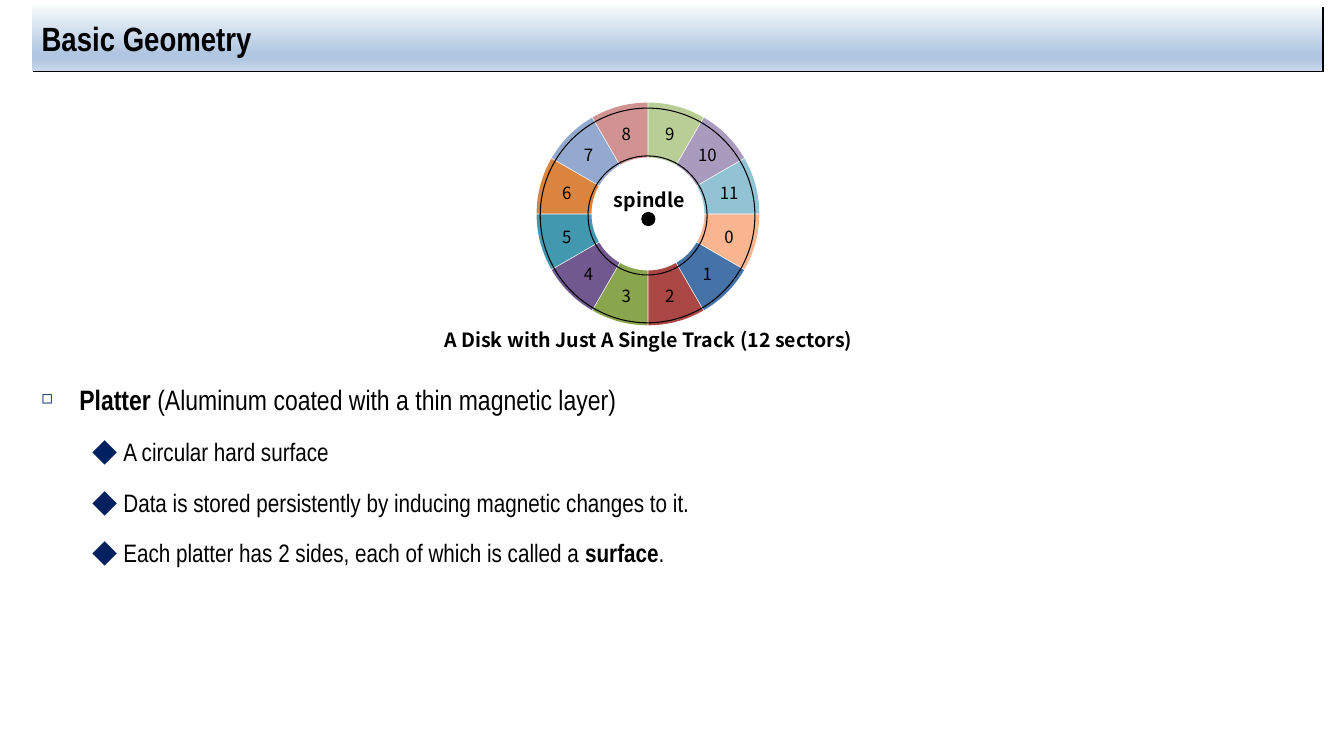
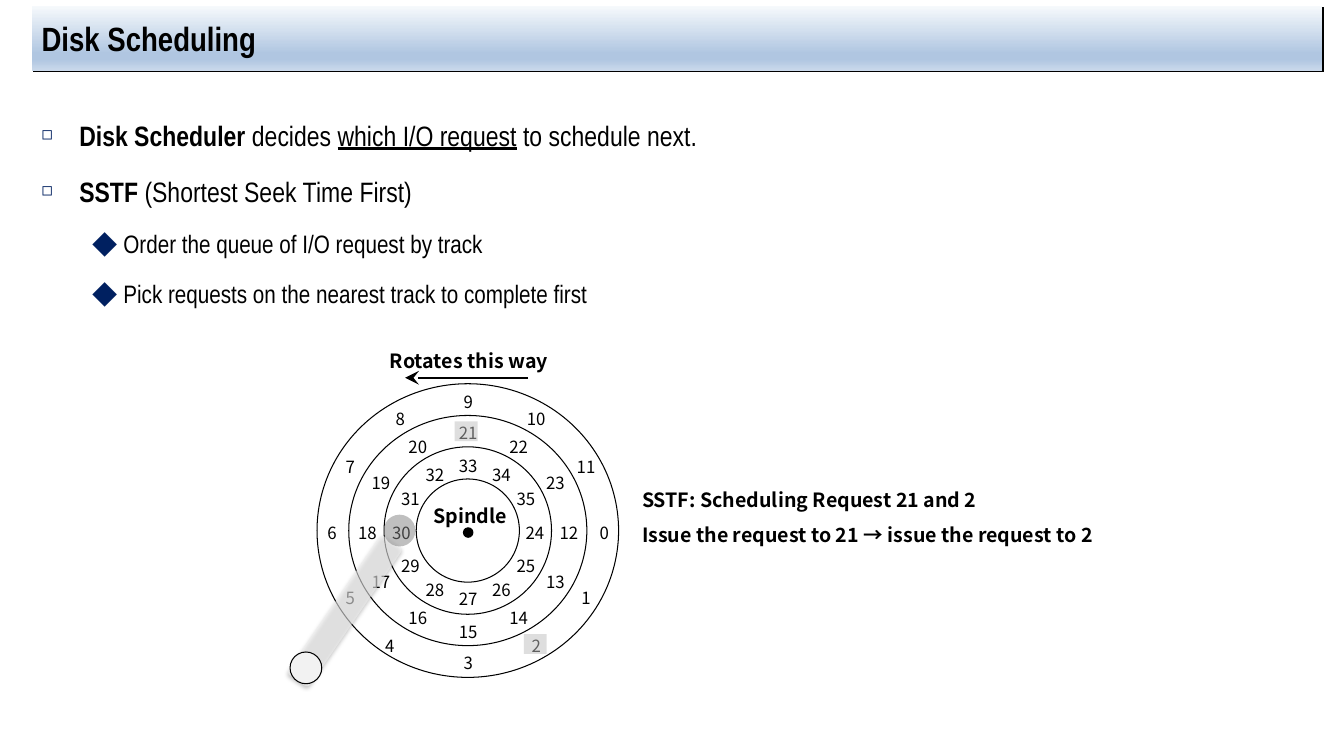
from math import cos, radians, sin

from lxml import etree
from pptx import Presentation
from pptx.chart.data import CategoryChartData
from pptx.dml.color import RGBColor
from pptx.enum.chart import XL_CHART_TYPE
from pptx.enum.shapes import MSO_CONNECTOR, MSO_SHAPE
from pptx.enum.text import MSO_ANCHOR, PP_ALIGN
from pptx.oxml.ns import qn
from pptx.util import Cm, Pt

OVAL = MSO_SHAPE.OVAL
RECTANGLE = MSO_SHAPE.RECTANGLE
ROUNDED = MSO_SHAPE.ROUNDED_RECTANGLE
STRAIGHT = MSO_CONNECTOR.STRAIGHT
DOUGHNUT = XL_CHART_TYPE.DOUGHNUT
LEFT, CENTER = PP_ALIGN.LEFT, PP_ALIGN.CENTER
TOP, MIDDLE = MSO_ANCHOR.TOP, MSO_ANCHOR.MIDDLE

HEADING_FONT = "Arial Narrow"
LABEL_FONT = "Noto Sans CJK KR"
BLACK, NAVY, PALE, SILVER, GRAY = "000000", "002060", "F2F2F2", "BFBFBF", "808080"
BAND_STOPS = [(0, "F6F9FC"), (74, "B0C6E1"), (83, "B0C6E1"), (100, "CAD9EB")]
SECTOR_COLORS = [
    "4572A7", "AA4643", "89A54E", "71588F", "4198AF", "DB843D",
    "93A9CF", "D19392", "B9CD96", "A99BBD", "91C3D5", "F9B590",
]
BULLETS = {
    0: {"char": "◻", "font": HEADING_FONT, "margin": 0.95, "indent": -0.95,
        "percent": 65, "size": 20},
    1: {"char": "◆", "font": LABEL_FONT, "margin": 2.06, "indent": -0.79,
        "percent": 100, "size": 18},
}
LINE_WIDTH = 0.75
SECTORS = 12


def rgb(color):
    return RGBColor.from_string(color)


def add_child(parent, tag, **attributes):
    child = etree.SubElement(parent, qn(tag))
    for name, value in attributes.items():
        child.set(name, str(value))
    return child


def set_alpha(color_element, percent):
    add_child(color_element, "a:alpha", val=percent * 1000)


def set_font(font, size, name, bold=False, underline=False):
    font.size = Pt(size)
    font.name = name
    font.bold = bold
    font.underline = underline
    font.color.rgb = rgb(BLACK)


def write_text(frame, paragraphs, size=14, font=LABEL_FONT, bold=False, align=LEFT,
               anchor=TOP, spacing=None, insets=(0.25, 0.13)):
    frame.word_wrap = True
    frame.vertical_anchor = anchor
    frame.margin_left = frame.margin_right = Cm(insets[0])
    frame.margin_top = frame.margin_bottom = Cm(insets[1])
    for index, text in enumerate(paragraphs):
        paragraph = frame.paragraphs[0] if index == 0 else frame.add_paragraph()
        paragraph.alignment = align
        if spacing:
            paragraph.line_spacing = spacing
        run = paragraph.add_run()
        run.text = text
        set_font(run.font, size, font, bold)
        add_child(run.font._element, "a:ea", typeface=font)


def add_label(slide, left, top, width, height, *paragraphs, **text_format):
    box = slide.shapes.add_textbox(Cm(left), Cm(top), Cm(width), Cm(height))
    write_text(box.text_frame, paragraphs, **text_format)


def add_shape(slide, kind, left, top, width, height, fill=None, alpha=None, line=None):
    shape = slide.shapes.add_shape(kind, Cm(left), Cm(top), Cm(width), Cm(height))
    shape.shadow.inherit = False
    if fill:
        shape.fill.solid()
        shape.fill.fore_color.rgb = rgb(fill)
        if alpha:
            set_alpha(shape._element.spPr.find(qn("a:solidFill"))[0], alpha)
    else:
        shape.fill.background()
    if line:
        shape.line.color.rgb = rgb(line)
        shape.line.width = Pt(LINE_WIDTH)
    else:
        shape.line.fill.background()
    return shape


def add_circle(slide, center, width, height=None, **style):
    height = height or width
    left, top = center[0] - width / 2, center[1] - height / 2
    return add_shape(slide, OVAL, left, top, width, height, **style)


def add_shadow(shape, alpha, blur, distance, angle):
    effects = shape._element.spPr.find(qn("a:effectLst"))
    shadow = add_child(effects, "a:outerShdw", blurRad=Pt(blur), dist=Pt(distance),
                       dir=angle * 60000, algn="ctr", rotWithShape=0)
    set_alpha(add_child(shadow, "a:srgbClr", val=BLACK), alpha)


def add_title(slide, text):
    band = add_shape(slide, RECTANGLE, 0.8, 0.15, 32.53, 1.63)
    properties = band._element.spPr
    gradient = etree.Element(qn("a:gradFill"), rotWithShape="1")
    stops = add_child(gradient, "a:gsLst")
    for position, color in BAND_STOPS:
        stop = add_child(stops, "a:gs", pos=position * 1000)
        add_child(stop, "a:srgbClr", val=color)
    add_child(gradient, "a:lin", ang=90 * 60000, scaled=0)
    properties.replace(properties.find(qn("a:noFill")), gradient)
    add_shadow(band, 100, 0, 1.4, 45)
    write_text(band.text_frame, [text], size=24, font=HEADING_FONT, bold=True, anchor=MIDDLE)


def add_bullets(slide, top, height, items):
    box = slide.shapes.add_textbox(Cm(0.8), Cm(top), Cm(32.53), Cm(height))
    frame = box.text_frame
    frame.word_wrap = True
    for index, (level, runs) in enumerate(items):
        paragraph = frame.paragraphs[0] if index == 0 else frame.add_paragraph()
        bullet = BULLETS[level]
        properties = paragraph._element.get_or_add_pPr()
        properties.set("marL", str(Cm(bullet["margin"])))
        properties.set("indent", str(Cm(bullet["indent"])))
        add_child(add_child(properties, "a:buClr"), "a:srgbClr", val=NAVY)
        add_child(properties, "a:buSzPct", val=bullet["percent"] * 1000)
        add_child(properties, "a:buFont", typeface=bullet["font"])
        add_child(properties, "a:buChar", char=bullet["char"])
        paragraph.level = level
        paragraph.line_spacing = 1.5
        if index:
            paragraph.space_before = Pt(bullet["size"] * 0.2)
        for text, style in runs:
            run = paragraph.add_run()
            run.text = text
            set_font(run.font, bullet["size"], HEADING_FONT, style == "bold", style == "underline")


def add_arrow(slide, start, end):
    arrow = slide.shapes.add_connector(STRAIGHT, Cm(start[0]), Cm(start[1]), Cm(end[0]), Cm(end[1]))
    arrow.line.color.rgb = rgb(BLACK)
    arrow.line.width = Pt(1.5)
    add_child(arrow.line._get_or_add_ln(), "a:tailEnd", type="stealth", w="lg", len="lg")
    add_child(arrow._element.spPr, "a:effectLst")


def set_plot_layout(chart, **bounds):
    plot_area = chart._chartSpace.chart.plotArea
    for layout in plot_area.findall(qn("c:layout")):
        plot_area.remove(layout)
    layout = etree.Element(qn("c:layout"))
    manual = add_child(layout, "c:manualLayout")
    add_child(manual, "c:layoutTarget", val="inner")
    for mode in ("xMode", "yMode"):
        add_child(manual, f"c:{mode}", val="edge")
    for name, value in bounds.items():
        add_child(manual, f"c:{name}", val=value)
    plot_area.insert(0, layout)


def add_sector_chart(slide):
    data = CategoryChartData()
    data.categories = [str(number) for number in range(1, SECTORS + 1)]
    data.add_series("Series 1", [8] * SECTORS)
    frame = slide.shapes.add_chart(DOUGHNUT, Cm(11.99), Cm(1.92), Cm(8.51), Cm(7.09), data)
    chart = frame.chart
    chart.has_legend = False
    chart.has_title = False
    set_font(chart.font, 12, LABEL_FONT)
    set_plot_layout(chart, x=0.18, y=0.09, w=0.66, h=0.8)

    plot = chart.plots[0]
    plot.vary_by_categories = True
    plot._element.find(qn("c:firstSliceAng")).set("val", "120")
    plot._element.find(qn("c:holeSize")).set("val", "50")
    series = plot.series[0]
    explosion = etree.Element(qn("c:explosion"), val="3")
    series._element.find(qn("c:tx")).addnext(explosion)
    for index, color in enumerate(SECTOR_COLORS):
        fill = series.points[index].format.fill
        fill.solid()
        fill.fore_color.rgb = rgb(color)

    labels = series.data_labels
    labels.show_category_name = True
    labels.show_value = False
    set_font(labels.font, 12, LABEL_FONT)
    run = series.points[SECTORS - 1].data_label.text_frame.paragraphs[0].add_run()
    run.text = "0"
    set_font(run.font, 12, LABEL_FONT)


def add_track_numbers(slide, center):
    width, height = 1, 0.76
    track_radii = [(3.43, 3.3), (2.54, 2.5), (1.68, 1.68)]
    nudges = {4: -0.26}
    for track, (radius_x, radius_y) in enumerate(track_radii):
        for sector in range(SECTORS):
            number = track * SECTORS + sector
            angle = radians(sector * 360 / SECTORS)
            x = center[0] + radius_x * cos(angle) + nudges.get(number, 0)
            y = center[1] + radius_y * sin(angle)
            add_label(slide, x - width / 2, y - height / 2, width, height, str(number),
                      size=12, align=CENTER, insets=(0, 0.13))


def build_geometry_slide(slide):
    add_title(slide, "Basic Geometry")
    add_bullets(slide, 9.1, 8.6, [
        (0, [("Platter ", "bold"), ("(Aluminum coated with a thin magnetic layer)", "")]),
        (1, [("A circular hard surface", "")]),
        (1, [("Data is stored persistently by inducing magnetic changes to it.", "")]),
        (1, [("Each platter has 2 sides, each of which is called a ", ""),
             ("surface", "bold"), (".", "")]),
    ])
    add_sector_chart(slide)
    center = (16.32, 5.43)
    for diameter in (5.41, 3):
        add_circle(slide, center, diameter, line=BLACK)
    add_circle(slide, (16.34, 5.52), 0.33, fill=BLACK, line=BLACK)
    add_label(slide, 15.14, 4.6, 2.46, 0.86, "spindle", bold=True, align=CENTER)
    add_label(slide, 10.54, 8.13, 11.6, 0.86, "A Disk with Just A Single Track (12 sectors)",
              bold=True, align=CENTER)


def build_scheduling_slide(slide):
    add_title(slide, "Disk Scheduling")
    add_bullets(slide, 2.44, 5.8, [
        (0, [("Disk Scheduler", "bold"), (" decides ", ""),
             ("which I/O request", "underline"), (" to schedule next.", "")]),
        (0, [("SSTF", "bold"), (" (Shortest Seek Time First)", "")]),
        (1, [("Order the queue of I/O request by track", "")]),
        (1, [("Pick requests on the nearest track to complete first", "")]),
    ])
    center = (11.79, 13.37)
    for width, height in [(2.6, 2.6), (4.22, 4.22), (6, 5.8), (7.6, 7.4)]:
        add_circle(slide, center, width, height, line=BLACK)
    add_track_numbers(slide, (11.8, 13.41))
    add_circle(slide, (11.8, 13.42), 0.24, fill=BLACK, line=BLACK)
    add_label(slide, 10.62, 12.57, 2.46, 0.86, "Spindle", bold=True, align=CENTER)
    add_label(slide, 9.32, 8.66, 5, 0.86, "Rotates this way", bold=True, align=CENTER)
    add_arrow(slide, (13.31, 9.52), (10.21, 9.52))

    arm = add_shape(slide, ROUNDED, 8.36, 13.28, 0.66, 4.24, fill=PALE, alpha=58)
    arm.rotation = 34.4
    add_shadow(arm, 38, 3.1, 1.6, 90)
    add_circle(slide, (10.07, 13.37), 0.8, fill=GRAY, alpha=50)
    add_circle(slide, (7.71, 16.83), 0.8, fill=PALE, line=BLACK)
    add_label(slide, 15.93, 11.86, 12.6, 1.93, "SSTF: Scheduling Request 21 and 2",
              "Issue the request to 21 → issue the request to 2", bold=True, spacing=1.5)
    for left, top in [(11.46, 10.62), (13.2, 15.98)]:
        add_shape(slide, RECTANGLE, left, top, 0.58, 0.5, fill=SILVER, alpha=50)


def main():
    presentation = Presentation()
    presentation.slide_width = Cm(33.87)
    presentation.slide_height = Cm(19.05)
    blank = presentation.slide_layouts[6]
    for build in (build_geometry_slide, build_scheduling_slide):
        build(presentation.slides.add_slide(blank))
    presentation.save("out.pptx")


if __name__ == "__main__":
    main()
